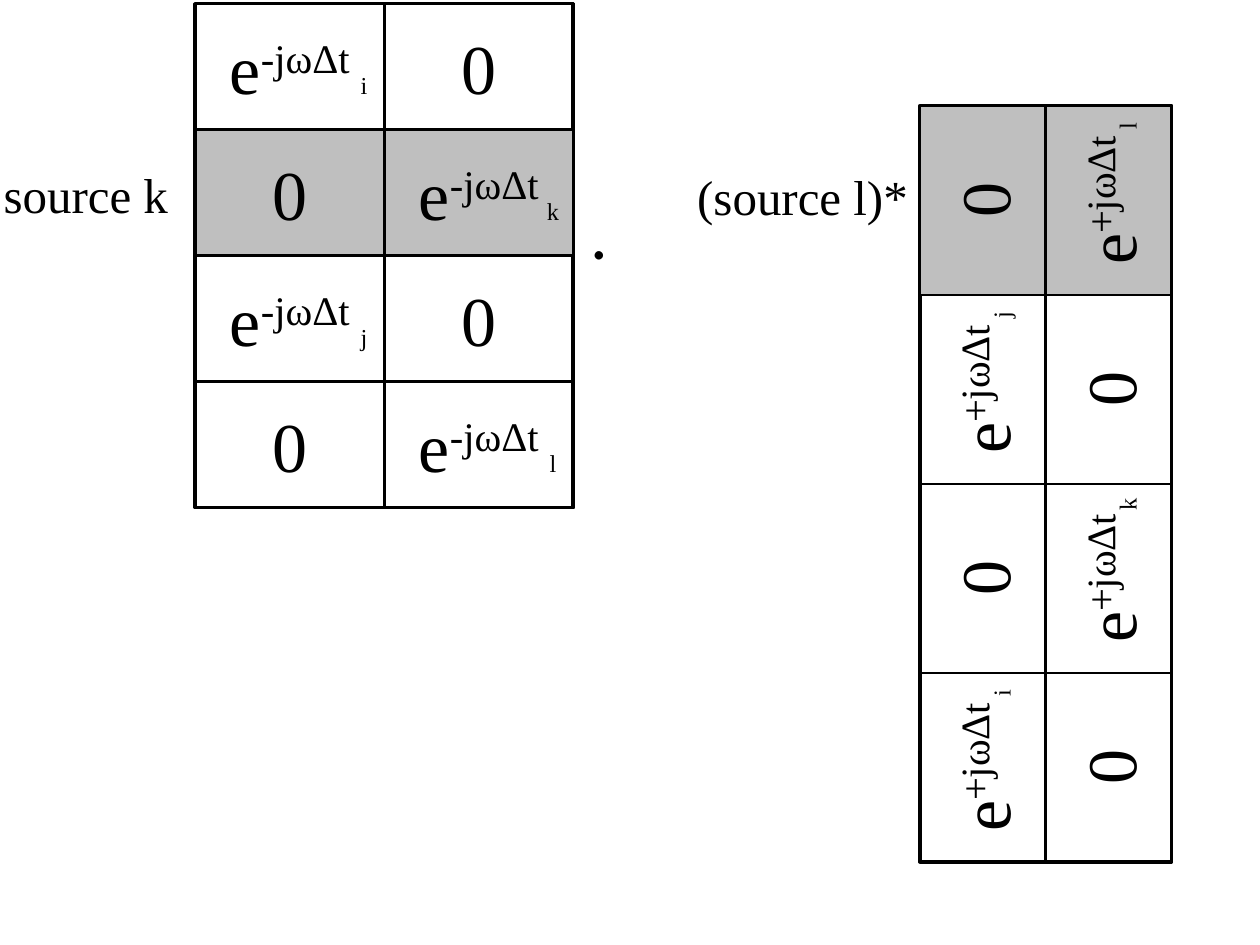
"""Build the slide with two phase matrices for source k and source l."""
from pptx import Presentation
from pptx.dml.color import RGBColor
from pptx.enum.shapes import MSO_SHAPE
from pptx.enum.text import MSO_AUTO_SIZE, PP_ALIGN
from pptx.util import Inches, Pt

RECTANGLE = MSO_SHAPE.RECTANGLE
CENTER, LEFT = PP_ALIGN.CENTER, PP_ALIGN.LEFT
GROW = MSO_AUTO_SIZE.SHAPE_TO_FIT_TEXT
BLACK = RGBColor(0x00, 0x00, 0x00)
GRAY = RGBColor(0xBF, 0xBF, 0xBF)
SERIF, SANS = "Times New Roman", "Calibri"
BLANK_LAYOUT = 6
CELL_LENGTH, CELL_DEPTH = 1.5, 1
ZERO_SIZE, POWER_SIZE, INDEX_SIZE = (0.8, 0.77), (1.81, 0.77), (0.66, 0.37)
INDEX_ALONG, INDEX_RISE = 0.59, 0.06
SUPERSCRIPT, SUBSCRIPT = 30, -25


def centered_bounds(middle, size):
    """Return left, top, width and height of a box around its middle."""
    (x, y), (width, height) = middle, size
    return [Inches(v) for v in (x - width / 2, y - height / 2, width, height)]


def add_box(shapes, middle, size, rotation, weight, fill=None):
    """Draw an outlined rectangle, filled if a colour is given."""
    box = shapes.add_shape(RECTANGLE, *centered_bounds(middle, size))
    box.rotation = rotation
    box.shadow.inherit = False
    box.line.color.rgb = BLACK
    box.line.width = Pt(weight)
    if fill is None:
        box.fill.background()
    else:
        box.fill.solid()
        box.fill.fore_color.rgb = fill


def add_label(shapes, middle, size, pieces, points,
              rotation=0, align=CENTER, font=SERIF):
    """Write one line made of (text, baseline) pieces."""
    label = shapes.add_textbox(*centered_bounds(middle, size))
    label.rotation = rotation
    frame = label.text_frame
    frame.word_wrap = True
    frame.auto_size = GROW
    line = frame.paragraphs[0]
    line.alignment = align
    for text, baseline in pieces:
        run = line.add_run()
        run.text = text
        run.font.size = Pt(points)
        run.font.name = font
        run.font.color.rgb = BLACK
        if baseline:
            run.font._element.set("baseline", str(baseline * 1000))


def add_entry(shapes, middle, sign, index, rotation):
    """Write a zero, or a power of e with its index when one is given."""
    if not index:
        add_label(shapes, middle, ZERO_SIZE, [("0", 0)], 40, rotation)
        return
    power = [("e", 0), (f"{sign}jωΔt", SUPERSCRIPT)]
    add_label(shapes, middle, POWER_SIZE, power, 40, rotation)
    x, y = middle
    if rotation:
        index_middle = (x - INDEX_RISE, y - INDEX_ALONG)
    else:
        index_middle = (x + INDEX_ALONG, y - INDEX_RISE)
    add_label(shapes, index_middle, INDEX_SIZE, [(index, SUBSCRIPT)], 24, rotation)


def add_matrix(slide, left, top, rows, shaded_row, sign, rotation=0):
    """Draw a grouped grid of entries, each turned by the rotation."""
    shapes = slide.shapes.add_group_shape().shapes
    cell = (CELL_LENGTH, CELL_DEPTH)
    width, height = cell[::-1] if rotation else cell
    total = (len(rows[0]) * width, len(rows) * height)
    add_box(shapes, (left + total[0] / 2, top + total[1] / 2), total, 0, 2)
    for r, row in enumerate(rows):
        for c, index in enumerate(row):
            middle = (left + (c + 0.5) * width, top + (r + 0.5) * height)
            fill = GRAY if r == shaded_row else None
            add_box(shapes, middle, cell, rotation, 1.5, fill)
            add_entry(shapes, middle, sign, index, rotation)


def main():
    """Create the presentation and save it."""
    deck = Presentation()
    deck.slide_width, deck.slide_height = Inches(10), Inches(7.5)
    slide = deck.slides.add_slide(deck.slide_layouts[BLANK_LAYOUT])
    add_label(slide.shapes, (4.76, 1.84), ZERO_SIZE, [(".", 0)], 40, font=SANS)
    add_matrix(slide, 1.55, 0.03,
               [("i", ""), ("", "k"), ("j", ""), ("", "l")], 1, "-")
    add_label(slide.shapes, (0.74, 1.54), (1.62, 0.57),
              [("source k", 0)], 28, align=LEFT)
    add_matrix(slide, 7.3, 0.84,
               [("", "l"), ("j", ""), ("", "k"), ("i", "")], 0, "+", 270)
    add_label(slide.shapes, (6.46, 1.56), (2.05, 0.57),
              [("(source l)*", 0)], 28, align=LEFT)
    deck.save("out.pptx")


if __name__ == "__main__":
    main()
